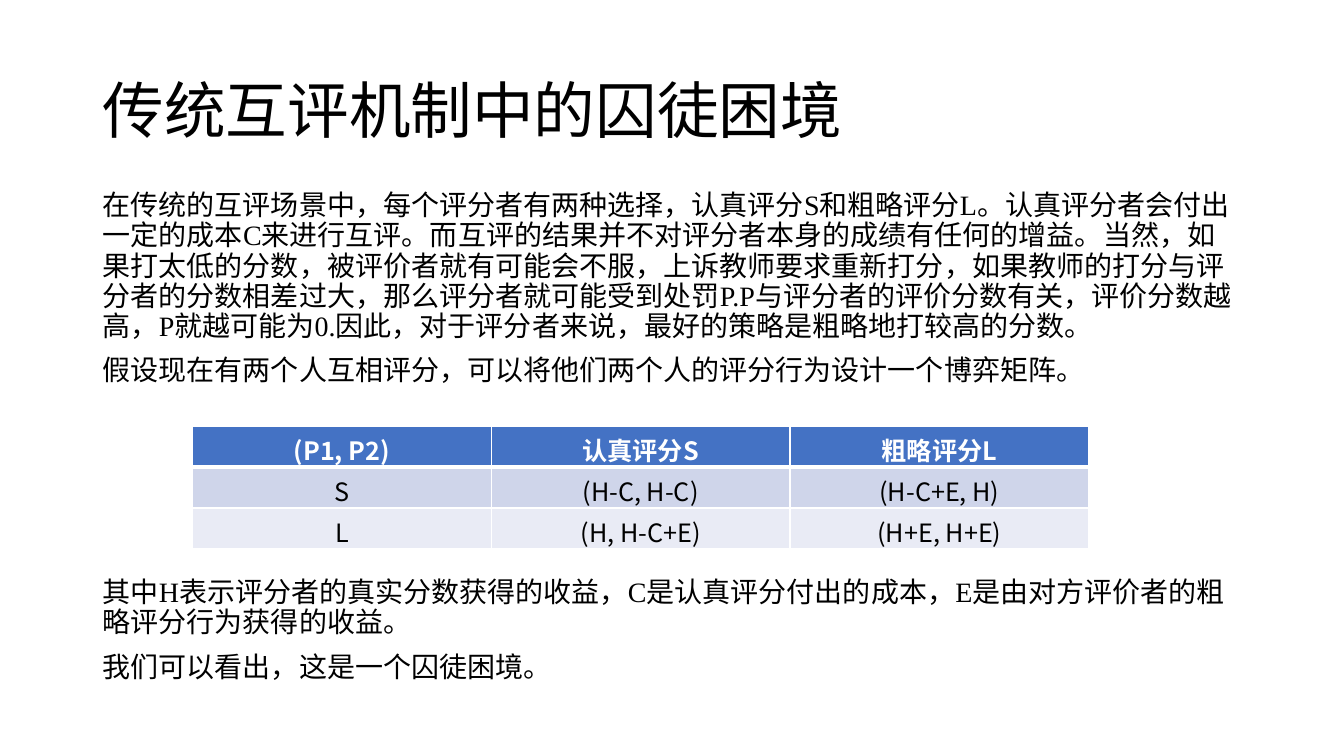
from dataclasses import dataclass

from lxml.etree import SubElement
from pptx import Presentation
from pptx.dml.color import RGBColor
from pptx.enum.text import MSO_ANCHOR, PP_ALIGN
from pptx.oxml.ns import qn
from pptx.slide import Slide
from pptx.table import _Cell as Cell
from pptx.text.text import TextFrame
from pptx.util import Cm, Pt

BLACK = RGBColor(0x00, 0x00, 0x00)
WHITE = RGBColor(0xFF, 0xFF, 0xFF)
HEADER_BLUE = RGBColor(0x44, 0x72, 0xC4)
BAND_DARK = RGBColor(0xCF, 0xD5, 0xEA)
BAND_LIGHT = RGBColor(0xE9, 0xEB, 0xF5)

SANS = "Noto Sans CJK SC"
SERIF = "Times New Roman"

MARGIN, TEXT_WIDTH = Cm(2.34), Cm(29.21)
COLUMN_WIDTH, ROW_HEIGHT = Cm(7.53), Cm(1.03)


@dataclass(frozen=True)
class TextBlock:
    top: float
    height: float
    paragraphs: tuple[str, ...]
    size: int = 20
    font: str = SERIF
    anchor: MSO_ANCHOR = MSO_ANCHOR.TOP


@dataclass(frozen=True)
class MatrixRow:
    entries: tuple[str, str, str]
    fill: RGBColor
    color: RGBColor = BLACK
    bold: bool = False
    top_line: int = 1
    bottom_line: int = 1


BLOCKS = (
    TextBlock(1.01, 3.68, ("传统互评机制中的囚徒困境",),
              size=44, font=SANS, anchor=MSO_ANCHOR.MIDDLE),
    TextBlock(4.7, 5.6, (
        "在传统的互评场景中，每个评分者有两种选择，认真评分S和粗略评分L。"
        "认真评分者会付出一定的成本C来进行互评。"
        "而互评的结果并不对评分者本身的成绩有任何的增益。"
        "当然，如果打太低的分数，被评价者就有可能会不服，上诉教师要求重新打分，"
        "如果教师的打分与评分者的分数相差过大，那么评分者就可能受到处罚"
        "P.P与评分者的评价分数有关，评价分数越高，P就越可能为0."
        "因此，对于评分者来说，最好的策略是粗略地打较高的分数。",
        "假设现在有两个人互相评分，可以将他们两个人的评分行为设计一个博弈矩阵。",
    )),
    TextBlock(14.45, 3.2, (
        "其中H表示评分者的真实分数获得的收益，C是认真评分付出的成本，"
        "E是由对方评价者的粗略评分行为获得的收益。",
        "我们可以看出，这是一个囚徒困境。",
    )),
)

PAYOFF_MATRIX = (
    MatrixRow(("(P1, P2)", "认真评分S", "粗略评分L"), HEADER_BLUE,
              color=WHITE, bold=True, bottom_line=3),
    MatrixRow(("S", "(H-C, H-C)", "(H-C+E, H)"), BAND_DARK, top_line=3),
    MatrixRow(("L", "(H, H-C+E)", "(H+E, H+E)"), BAND_LIGHT),
)


def write_text(frame: TextFrame, paragraphs: tuple[str, ...], *, size: int,
               font: str = SANS, color: RGBColor = BLACK, bold: bool = False,
               align: PP_ALIGN = PP_ALIGN.LEFT, line_spacing: float = 1.0,
               space_before: int = 0) -> None:
    for index, text in enumerate(paragraphs):
        paragraph = frame.add_paragraph() if index else frame.paragraphs[0]
        paragraph.alignment = align
        paragraph.line_spacing = line_spacing
        paragraph.space_before = Pt(space_before if index else 0)
        run = paragraph.add_run()
        run.text = text
        run.font.size, run.font.name, run.font.bold = Pt(size), font, bold
        run.font.color.rgb = color
        SubElement(run.font._element, qn("a:ea"), typeface=SANS)


def add_text_block(slide: Slide, block: TextBlock) -> None:
    frame = slide.shapes.add_textbox(
        MARGIN, Cm(block.top), TEXT_WIDTH, Cm(block.height)).text_frame
    frame.word_wrap = True
    frame.vertical_anchor = block.anchor
    write_text(frame, block.paragraphs, size=block.size, font=block.font,
               line_spacing=0.9, space_before=10)


def set_borders(cell: Cell, top: int, bottom: int) -> None:
    """Draw white cell borders; call before filling, as lines come first."""
    properties = cell._tc.get_or_add_tcPr()
    for side, width in (("L", 1), ("R", 1), ("T", top), ("B", bottom)):
        line = SubElement(properties, qn(f"a:ln{side}"), w=str(Pt(width)))
        fill = SubElement(line, qn("a:solidFill"))
        SubElement(fill, qn("a:srgbClr"), val=str(WHITE))


def add_payoff_matrix(slide: Slide) -> None:
    columns = len(PAYOFF_MATRIX[0].entries)
    matrix = slide.shapes.add_table(
        len(PAYOFF_MATRIX), columns, Cm(4.85), Cm(10.74),
        COLUMN_WIDTH * columns, ROW_HEIGHT * len(PAYOFF_MATRIX)).table
    for row_index, row in enumerate(PAYOFF_MATRIX):
        for column_index, entry in enumerate(row.entries):
            cell = matrix.cell(row_index, column_index)
            set_borders(cell, row.top_line, row.bottom_line)
            cell.fill.solid()
            cell.fill.fore_color.rgb = row.fill
            write_text(cell.text_frame, (entry,), size=18, color=row.color,
                       bold=row.bold, align=PP_ALIGN.CENTER)


def main() -> None:
    presentation = Presentation()
    presentation.slide_width, presentation.slide_height = Cm(33.87), Cm(19.05)
    slide = presentation.slides.add_slide(presentation.slide_layouts[6])
    for block in BLOCKS:
        add_text_block(slide, block)
    add_payoff_matrix(slide)
    presentation.save("out.pptx")


if __name__ == "__main__":
    main()
